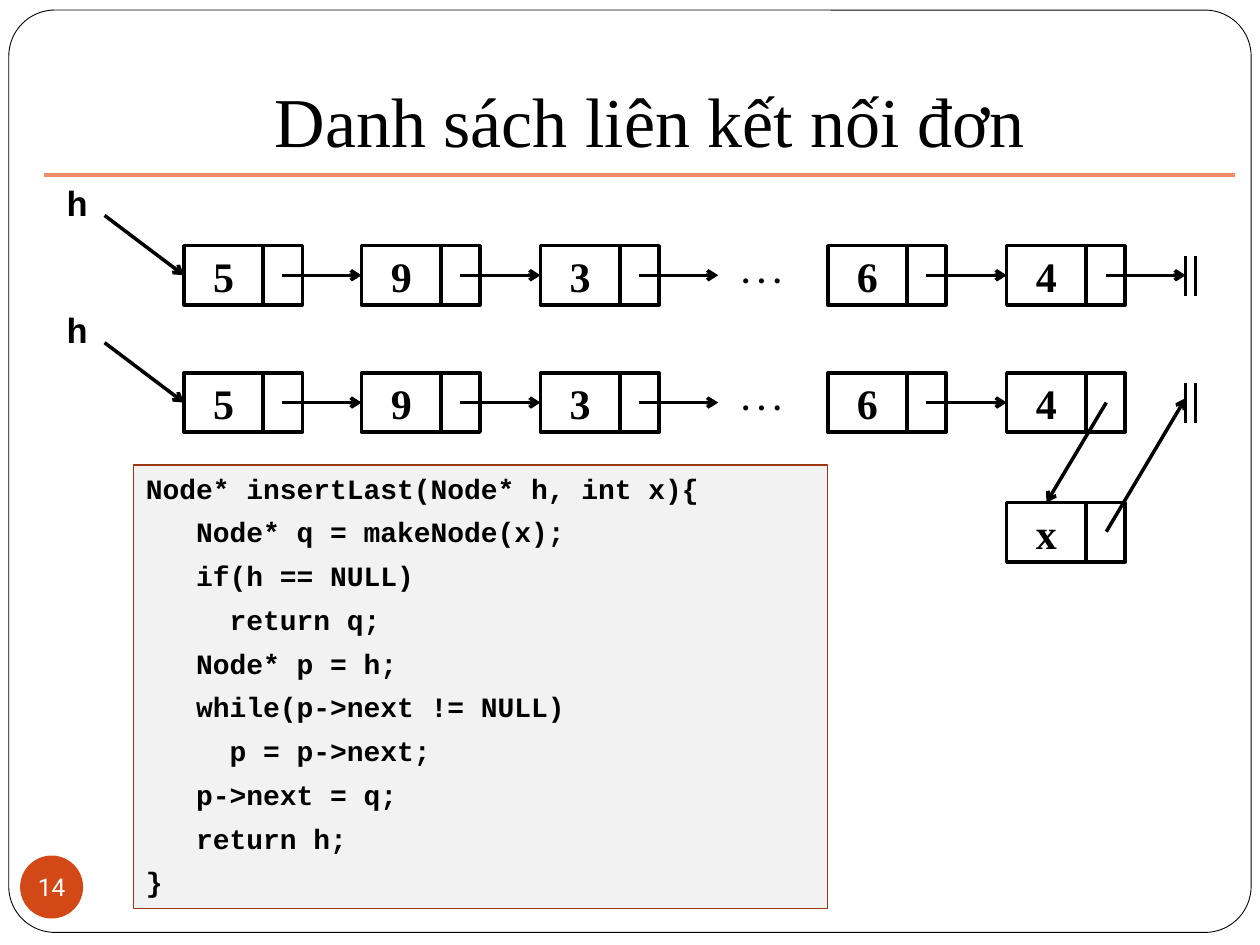
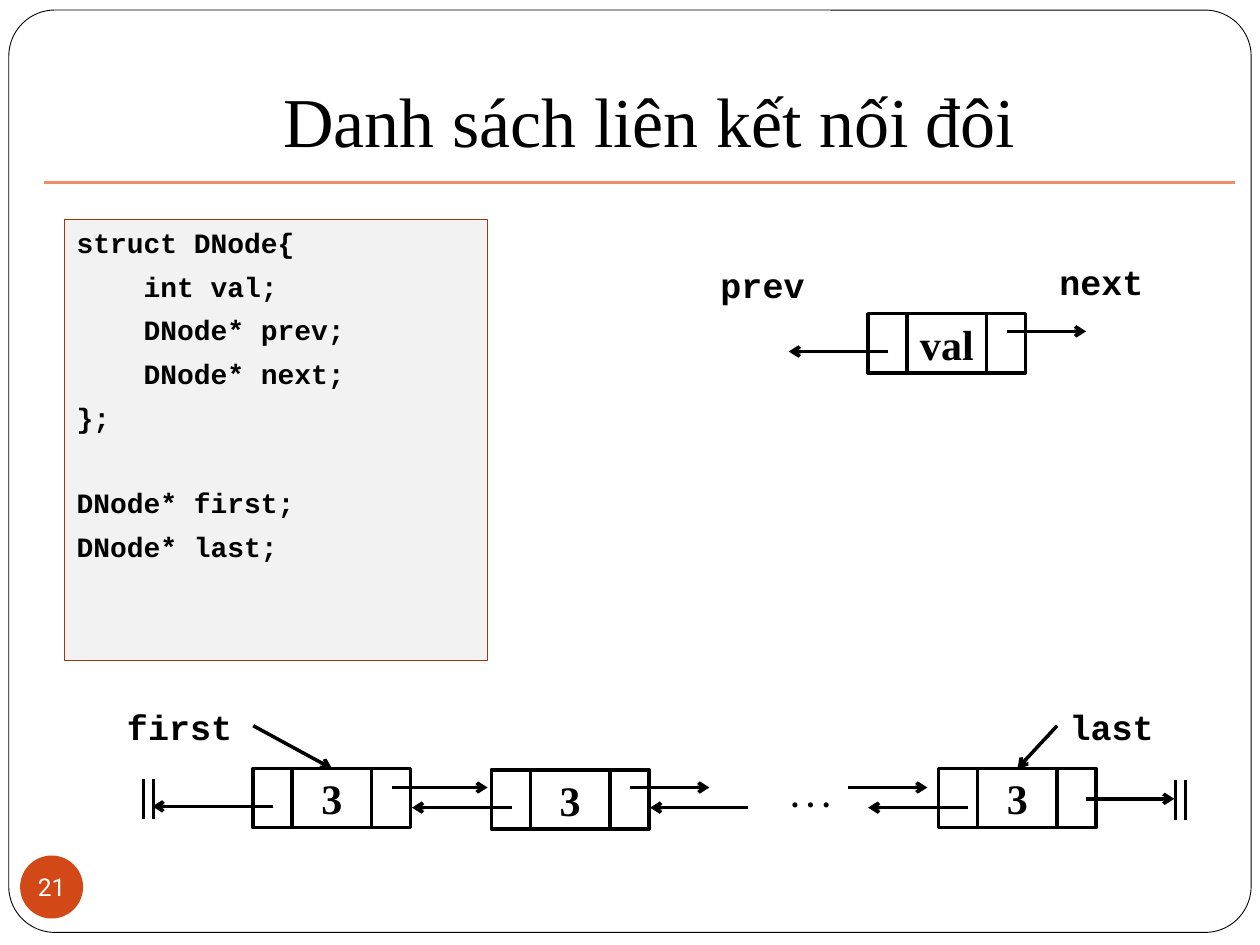
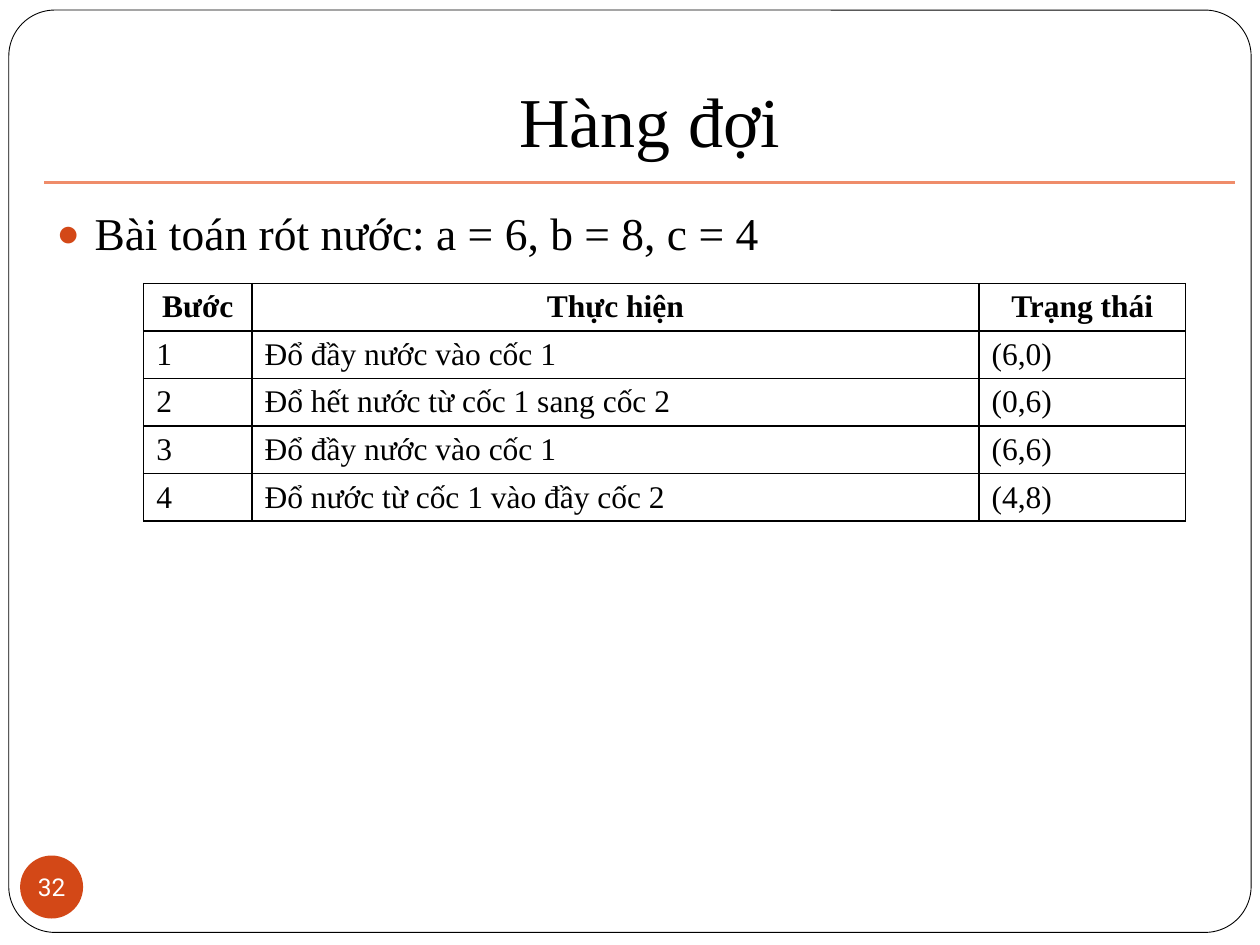
"""Build three slides on linked lists and queues."""
from lxml.etree import SubElement
from pptx import Presentation
from pptx.dml.color import RGBColor
from pptx.enum.shapes import MSO_CONNECTOR, MSO_SHAPE
from pptx.enum.text import MSO_ANCHOR, MSO_AUTO_SIZE, PP_ALIGN
from pptx.oxml.ns import qn
from pptx.util import Inches, Pt

COLORS = {"ink": "000000", "paper": "FFFFFF", "rule": "EF8C6A",
          "accent": "D34817", "code_fill": "F2F2F2", "code_line": "9E3611"}
SERIF, MONO, NUMBER_FONT = "Times New Roman", "Courier New", "Roboto"
TITLE_ONLY, TITLE_AND_BODY = 5, 1
VALUE_W, POINTER_W, NODE_H = 0.63, 0.31, 0.47
TOP, LEFT = 0, 1

SINGLE_TITLE = "Danh sách liên kết nối đơn"
SINGLE_NODES = [("5", 1.46), ("9", 2.87), ("3", 4.29), ("6", 6.57), ("4", 7.99)]
BEFORE_Y, AFTER_Y, INSERTED_Y = 1.95, 2.96, 3.99
ELLIPSIS_AFTER = "3"
INSERT_LAST = """Node* insertLast(Node* h, int x){
   Node* q = makeNode(x);
   if(h == NULL)
     return q;
   Node* p = h;
   while(p->next != NULL)
     p = p->next;
   p->next = q;
   return h;
}"""

DOUBLE_TITLE = "Danh sách liên kết nối đôi"
DOUBLE_NODES = [("3", 2.32, 6.1), ("3", 4.21, 6.11), ("3", 7.76, 6.1),
                ("val", 7.2, 2.49)]
DOUBLE_LABELS = [("first", 0.91, 5.55), ("last", 8.39, 5.55),
                 ("prev", 5.62, 2.04), ("next", 8.31, 2.02)]
DOUBLE_LINKS = [(3.11, 3.87, 6.25), (5, 5.63, 6.25), (6.73, 7.36, 6.25),
                (8.62, 9.32, 6.34), (4.06, 3.27, 6.41), (5.94, 5.16, 6.41),
                (7.68, 6.89, 6.41), (2.17, 1.21, 6.4),
                (7.99, 8.62, 2.63), (7.05, 6.26, 2.79)]
DNODE = """struct DNode{
    int val;
    DNode* prev;
    DNode* next;
};

DNode* first;
DNode* last;"""

QUEUE_TITLE = "Hàng đợi"
PROBLEM = "Bài toán rót nước: a = 6, b = 8, c = 4"
STEPS = [("Bước", "Thực hiện", "Trạng thái"),
         ("1", "Đổ đầy nước vào cốc 1", "(6,0)"),
         ("2", "Đổ hết nước từ cốc 1 sang cốc 2", "(0,6)"),
         ("3", "Đổ đầy nước vào cốc 1", "(6,6)"),
         ("4", "Đổ nước từ cốc 1 vào đầy cốc 2", "(4,8)")]
STEP_WIDTHS, STEP_H = (0.86, 5.77, 1.64), 0.34


def rgb(name):
    return RGBColor.from_string(COLORS[name])


def place(shape, left, top, width, height):
    shape.left, shape.top = Inches(left), Inches(top)
    shape.width, shape.height = Inches(width), Inches(height)


def write(paragraph, text, size, font=SERIF, bold=False, color="ink", align=PP_ALIGN.LEFT):
    paragraph.alignment = align
    run = paragraph.add_run()
    run.text = text
    run.font.size, run.font.name, run.font.bold = Pt(size), font, bold
    run.font.color.rgb = rgb(color)


def add_box(slide, left, top, width, height, kind=MSO_SHAPE.RECTANGLE,
            fill=None, line="ink", weight=2):
    box = slide.shapes.add_shape(kind, *map(Inches, (left, top, width, height)))
    box.shadow.inherit = False
    if fill:
        box.fill.solid()
        box.fill.fore_color.rgb = rgb(fill)
    else:
        box.fill.background()
    if line:
        box.line.color.rgb = rgb(line)
        box.line.width = Pt(weight)
    else:
        box.line.fill.background()
    return box


def center_text(box, text, size, **style):
    frame = box.text_frame
    frame.margin_left = frame.margin_right = frame.margin_top = frame.margin_bottom = 0
    frame.word_wrap = False
    frame.vertical_anchor = MSO_ANCHOR.MIDDLE
    write(frame.paragraphs[0], text, size, align=PP_ALIGN.CENTER, **style)


def add_line(slide, start, end, color="ink", arrow=False, target=None, side=LEFT):
    line = slide.shapes.add_connector(MSO_CONNECTOR.STRAIGHT,
                                      *map(Inches, (*start, *end)))
    line.line.color.rgb = rgb(color)
    line.line.width = Pt(2)
    if arrow:
        SubElement(line.line._get_or_add_ln(), qn("a:tailEnd"), type="arrow")
    SubElement(line._element.spPr, qn("a:effectLst"))
    if target is not None:
        line.end_connect(target, side)


def add_arrow(slide, start, end, target=None, side=LEFT):
    add_line(slide, start, end, arrow=True, target=target, side=side)


def add_label(slide, text, left, top, width=1.1, height=0.44, size=20, font=MONO):
    label = slide.shapes.add_textbox(*map(Inches, (left, top, width, height)))
    label.text_frame.word_wrap = True
    label.text_frame.auto_size = MSO_AUTO_SIZE.SHAPE_TO_FIT_TEXT
    write(label.text_frame.paragraphs[0], text, size, font, bold=True)


def add_ellipsis(slide, left, top):
    add_label(slide, ". . .", left, top, 0.94, 0.4, 18, SERIF)


def add_null(slide, left, top):
    for x in (left, left + 0.08):
        add_line(slide, (x, top), (x, top + 0.32))


def add_node(slide, value, left, top, double=False):
    value_box = add_box(slide, left, top, VALUE_W, NODE_H)
    center_text(value_box, value, 24, bold=True)
    add_box(slide, left + VALUE_W, top, POINTER_W, NODE_H)
    if double:
        add_box(slide, left - POINTER_W, top, POINTER_W, NODE_H)
    return value_box


def add_code(slide, code, left, top, width, height):
    box = add_box(slide, left, top, width, height, fill="code_fill",
                  line="code_line", weight=0.75)
    frame = box.text_frame
    frame.word_wrap = True
    frame.vertical_anchor = MSO_ANCHOR.TOP
    gap = 0
    for index, line in enumerate(code.split("\n")):
        if not line:
            gap += 23.9
            continue
        paragraph = frame.add_paragraph() if index else frame.paragraphs[0]
        paragraph.space_before = Pt(gap)
        write(paragraph, line, 16, MONO, bold=True)
        gap = 5.8


def add_page(prs, layout, title, number, rule_y):
    slide = prs.slides.add_slide(prs.slide_layouts[layout])
    heading = slide.shapes.title
    place(heading, 0.51, 0.13, 9.29, 1.25)
    frame = heading.text_frame
    frame.auto_size = MSO_AUTO_SIZE.NONE
    frame.vertical_anchor = MSO_ANCHOR.BOTTOM
    frame.margin_bottom = Inches(0.1)
    write(frame.paragraphs[0], title, 40, align=PP_ALIGN.CENTER)
    add_line(slide, (0.35, rule_y), (9.8, rule_y), "rule")
    badge = add_box(slide, 0.16, 6.79, 0.5, 0.5, MSO_SHAPE.OVAL, "accent", None)
    center_text(badge, str(number), 14, font=NUMBER_FONT, color="paper")
    return slide


def add_frame(prs, slide):
    frame = add_box(slide, 0.07, 0.08, 9.86, 7.32, MSO_SHAPE.ROUNDED_RECTANGLE,
                    "paper", "ink", 0.5)
    frame.adjustments[0] = 0.05
    prs.slide_master.shapes._spTree.insert(2, frame._element)


def add_single_list(slide, top):
    """Draw the chain up to its last node, whose own link is left open."""
    middle = top + NODE_H / 2
    boxes = [add_node(slide, value, left, top) for value, left in SINGLE_NODES]
    for index, (value, left) in enumerate(SINGLE_NODES[:-1]):
        target = None if value == ELLIPSIS_AFTER else boxes[index + 1]
        add_arrow(slide, (left + 0.78, middle), (left + 1.41, middle), target)
        if target is None:
            add_ellipsis(slide, left + 1.5, top)
    add_label(slide, "h", 0.43, top - 0.56, 0.94)
    add_arrow(slide, (0.83, top - 0.24), (1.46, middle), boxes[0])
    add_null(slide, 9.41, top + 0.08)
    return middle


def build_single(prs):
    slide = add_page(prs, TITLE_ONLY, SINGLE_TITLE, 14, 1.39)
    add_frame(prs, slide)
    middle = add_single_list(slide, BEFORE_Y)
    add_arrow(slide, (8.78, middle), (9.41, middle))
    add_code(slide, INSERT_LAST, 1.06, 3.69, 5.51, 3.52)
    middle = add_single_list(slide, AFTER_Y)
    inserted = add_node(slide, "x", 7.99, INSERTED_Y)
    add_arrow(slide, (8.78, middle), (8.31, INSERTED_Y), inserted, TOP)
    add_arrow(slide, (8.78, 4.22), (9.41, 3.16))


def build_double(prs):
    slide = add_page(prs, TITLE_ONLY, DOUBLE_TITLE, 21, 1.45)
    first, _, last, _ = [add_node(slide, *node, double=True) for node in DOUBLE_NODES]
    for start, end, y in DOUBLE_LINKS:
        add_arrow(slide, (start, y), (end, y))
    add_arrow(slide, (2.01, 5.76), (2.64, 6.1), first, TOP)
    add_arrow(slide, (8.39, 5.76), (8.07, 6.1), last, TOP)
    for label in DOUBLE_LABELS:
        add_label(slide, *label)
    add_ellipsis(slide, 6.18, 6.11)
    add_null(slide, 1.14, 6.18)
    add_null(slide, 9.33, 6.19)
    add_code(slide, DNODE, 0.51, 1.74, 3.36, 3.5)


def add_bullet(paragraph):
    props = paragraph._p.get_or_add_pPr()
    props.set("marL", str(Inches(0.3)))
    props.set("indent", str(-Inches(0.3)))
    color = SubElement(props, qn("a:buClr"))
    SubElement(color, qn("a:srgbClr"), val=COLORS["accent"])
    SubElement(props, qn("a:buSzPct"), val="85000")
    SubElement(props, qn("a:buChar"), char="●")


def border_cell(cell):
    props = cell._tc.get_or_add_tcPr()
    for side in ("a:lnL", "a:lnR", "a:lnT", "a:lnB"):
        line = SubElement(props, qn(side), w=str(Pt(1)))
        fill = SubElement(line, qn("a:solidFill"))
        SubElement(fill, qn("a:srgbClr"), val=COLORS["ink"])


def build_queue(prs):
    slide = add_page(prs, TITLE_AND_BODY, QUEUE_TITLE, 32, 1.45)
    body = slide.placeholders[1]
    place(body, 0.35, 1.58, 9.13, 5.47)
    body.text_frame.auto_size = MSO_AUTO_SIZE.NONE
    problem = body.text_frame.paragraphs[0]
    add_bullet(problem)
    problem.space_before = Pt(0)
    write(problem, PROBLEM, 26)

    steps = slide.shapes.add_table(
        len(STEPS), len(STEP_WIDTHS), Inches(1.14), Inches(2.25),
        Inches(sum(STEP_WIDTHS)), Inches(STEP_H * len(STEPS))).table
    steps.first_row = steps.horz_banding = False
    for column, width in zip(steps.columns, STEP_WIDTHS):
        column.width = Inches(width)
    for r, row in enumerate(STEPS):
        for c, text in enumerate(row):
            cell = steps.cell(r, c)
            border_cell(cell)
            cell.fill.background()
            write(cell.text_frame.paragraphs[0], text, 18, bold=r == 0,
                  align=PP_ALIGN.LEFT if r else PP_ALIGN.CENTER)


def main():
    prs = Presentation()
    prs.slide_width, prs.slide_height = Inches(10), Inches(7.5)
    build_single(prs)
    build_double(prs)
    build_queue(prs)
    prs.save("out.pptx")


if __name__ == "__main__":
    main()
